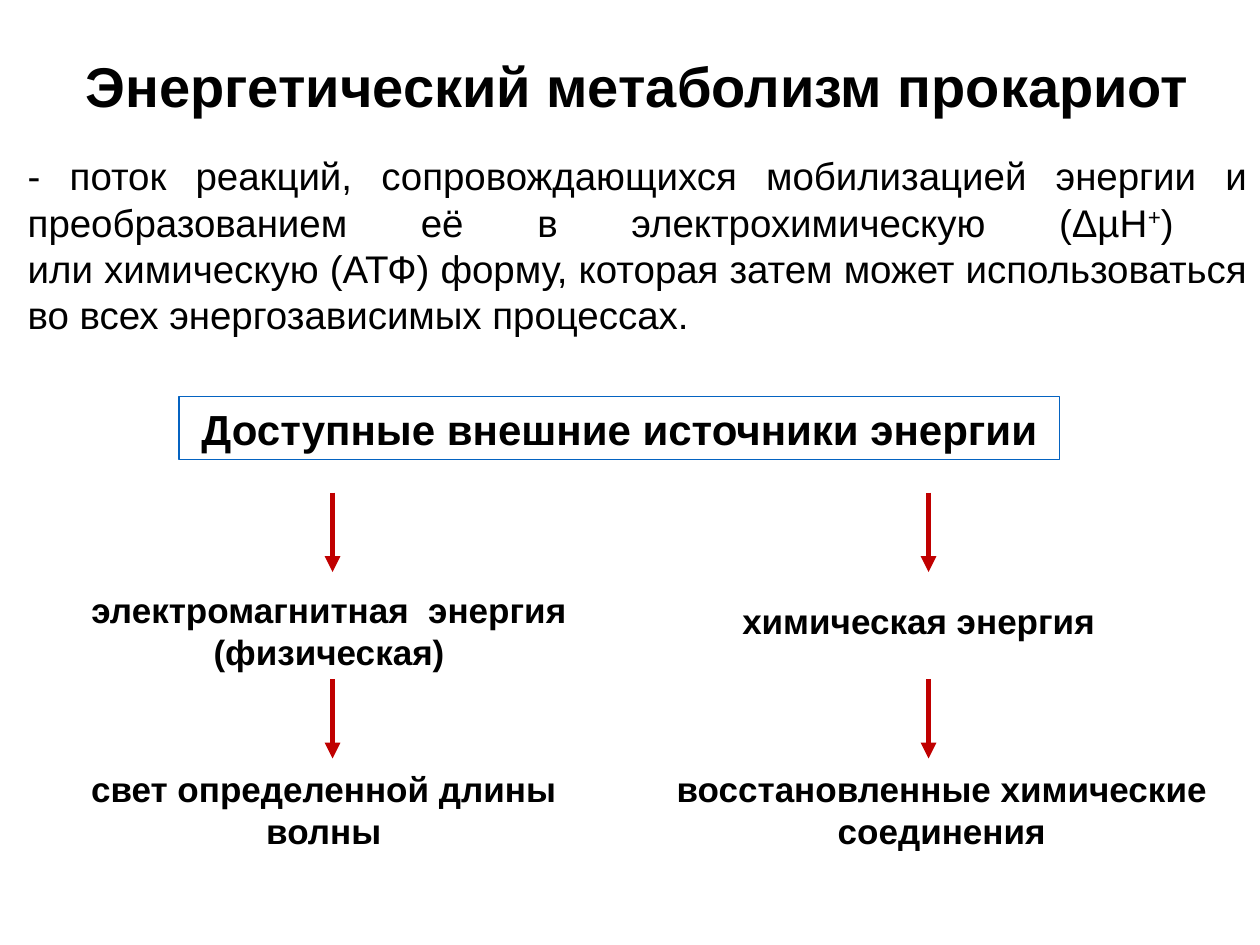
from lxml.etree import SubElement
from pptx import Presentation
from pptx.dml.color import RGBColor
from pptx.enum.shapes import MSO_CONNECTOR, MSO_SHAPE
from pptx.enum.text import MSO_ANCHOR, MSO_AUTO_SIZE, PP_ALIGN
from pptx.oxml.ns import qn
from pptx.util import Inches, Pt

SLIDE_W, SLIDE_H = 10, 7.5
ARROW_LENGTH = 0.63
ARROW_TOPS = 3.91, 5.39


def color(hex_code):
    return RGBColor.from_string(hex_code)


def place(shape, box):
    shape.left, shape.top, shape.width, shape.height = map(Inches, box)


def write(frame, text, size=20, bold=True, align=PP_ALIGN.CENTER,
          anchor=MSO_ANCHOR.TOP, wrap=True):
    """Fill a frame: newline parts paragraphs, | breaks a line, ^ encloses superscript."""
    frame.auto_size = MSO_AUTO_SIZE.NONE
    frame.word_wrap = wrap
    frame.vertical_anchor = anchor
    for number, line in enumerate(text.split("\n")):
        paragraph = frame.add_paragraph() if number else frame.paragraphs[0]
        paragraph.alignment = align
        paragraph.space_before = Pt(0)
        for part_number, part in enumerate(line.split("^")):
            for piece_number, piece in enumerate(part.split("|")):
                if piece_number:
                    paragraph.add_line_break()
                run = paragraph.add_run()
                run.text = piece
                font = run.font
                font.name, font.size, font.bold = "Arial", Pt(size), bold
                font.color.rgb = color("000000")
                if part_number % 2:
                    run._r.get_or_add_rPr().set("baseline", "30000")


def add_definition(slide, box):
    """Title with the justified definition below it."""
    left, top, width, height = box
    title_height = 0.8
    title, definition = slide.shapes.title, slide.placeholders[1]
    place(title, (left, top, width, title_height))
    place(definition, (left, top + title_height, width, height - title_height))
    write(title.text_frame, "Энергетический метаболизм прокариот", size=32)
    write(definition.text_frame,
          "- поток реакций, сопровождающихся мобилизацией энергии и преобразованием её "
          "в электрохимическую (ΔµH^+^) |или химическую (АТФ) форму, которая затем "
          "может использоваться во всех энергозависимых процессах.",
          size=22, bold=False, align=PP_ALIGN.JUSTIFY)
    properties = definition.text_frame.paragraphs[0]._p.get_or_add_pPr()
    properties.set("marL", "0")
    properties.set("indent", "0")
    SubElement(properties, qn("a:buNone"))


def add_sources_heading(slide, box):
    heading = slide.shapes.add_shape(MSO_SHAPE.RECTANGLE, *map(Inches, box))
    heading.shadow.inherit = False
    heading.fill.background()
    heading.line.color.rgb = color("0563C1")
    heading.line.width = Pt(0.75)
    write(heading.text_frame, "Доступные внешние источники энергии", size=24, wrap=False)


def add_label(slide, box, text, **text_format):
    label = slide.shapes.add_textbox(*map(Inches, box))
    write(label.text_frame, text, **text_format)


def add_arrow(slide, x, top):
    arrow = slide.shapes.add_connector(
        MSO_CONNECTOR.STRAIGHT, *map(Inches, (x, top, x, top + ARROW_LENGTH)))
    arrow.line.color.rgb = color("C00000")
    arrow.line.width = Pt(3)
    SubElement(arrow.line._get_or_add_ln(), qn("a:tailEnd"), type="triangle")
    SubElement(arrow._element.spPr, qn("a:effectLst"))


def add_branch(slide, arrow_x, energy_box, energy, source_box, source):
    """One column: arrow, kind of energy, arrow, its source."""
    for top in ARROW_TOPS:
        add_arrow(slide, arrow_x, top)
    add_label(slide, energy_box, energy)
    add_label(slide, source_box, source, wrap=False)


def main():
    deck = Presentation()
    deck.slide_width, deck.slide_height = Inches(SLIDE_W), Inches(SLIDE_H)
    slide = deck.slides.add_slide(deck.slide_layouts[1])
    add_definition(slide, (0.12, 0.36, 9.88, 2.42))
    add_sources_heading(slide, (1.42, 3.15, 6.99, 0.5))
    add_branch(slide, 2.64,
               (0.54, 4.62, 4.22, 0.77), "электромагнитная  энергия \n(физическая) ",
               (0.54, 6.04, 4.06, 0.77), "свет определенной длины\n волны ")
    add_branch(slide, 7.37,
               (5.5, 4.71, 3.66, 0.44), "химическая энергия ",
               (5.18, 6.04, 4.59, 0.77), "восстановленные химические\n соединения ")
    deck.save("out.pptx")


if __name__ == "__main__":
    main()
